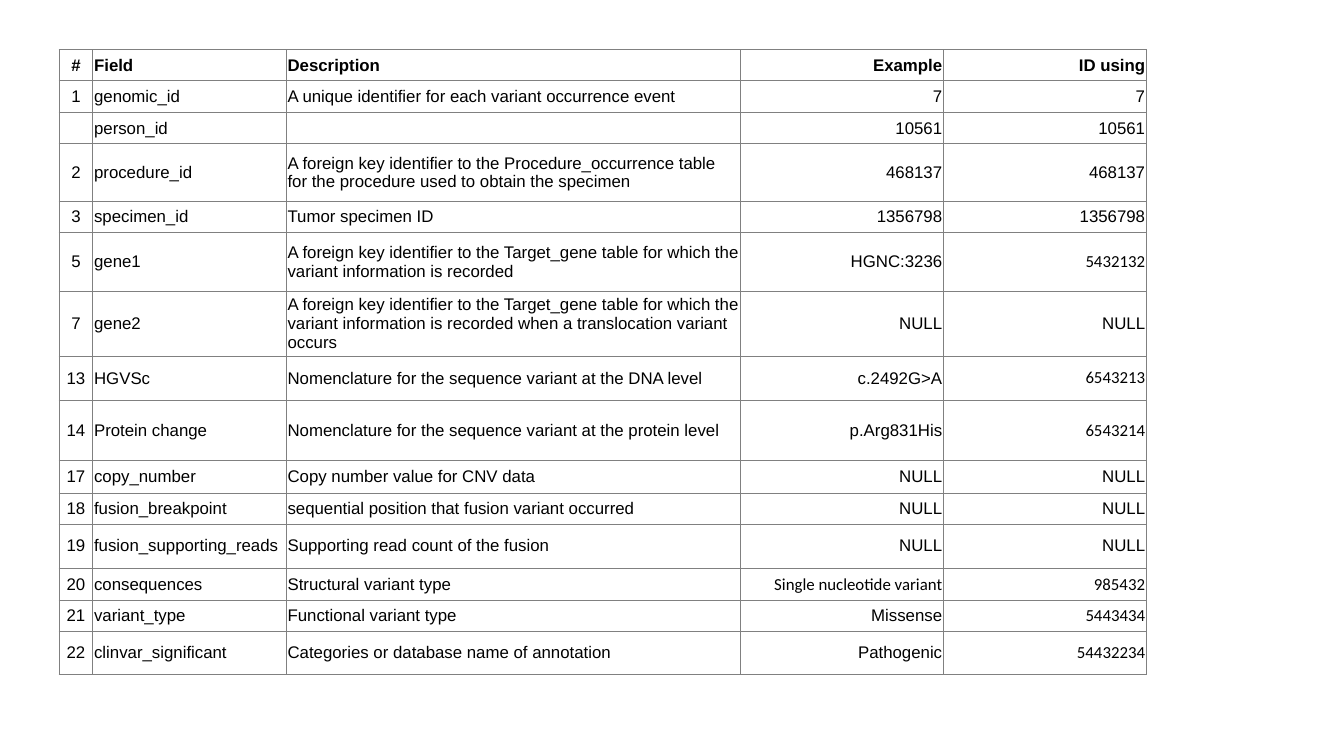
from dataclasses import dataclass

from lxml.etree import SubElement
from pptx import Presentation
from pptx.dml.color import RGBColor
from pptx.enum.text import MSO_ANCHOR as Anchor, PP_ALIGN as Align
from pptx.oxml.ns import qn
from pptx.util import Inches, Pt


@dataclass(frozen=True)
class Theme:
    text: str = "000000"
    fill: str = "FFFFFF"
    border: str = "808080"
    border_width: float = 0.5
    size: int = 9
    font: str = "Arial"
    code_font: str = "Calibri"
    inset: float = 0.01


THEME = Theme()

COLUMNS = [
    (0.25, Align.CENTER),
    (1.44, Align.LEFT),
    (3.38, Align.LEFT),
    (1.51, Align.RIGHT),
    (1.51, Align.RIGHT),
]

TARGET_GENE = "A foreign key identifier to the Target_gene table for which the variant information is recorded"
NOMENCLATURE = "Nomenclature for the sequence variant at the"

ROWS = [
    (0.23, "#", "Field", "Description", "Example", "ID using"),
    (0.24, "1", "genomic_id", "A unique identifier for each variant occurrence event", "7", "7"),
    (0.23, "", "person_id", "", "10561", "10561"),
    (0.43, "2", "procedure_id",
     "A foreign key identifier to the Procedure_occurrence table for the procedure used to obtain the specimen",
     "468137", "468137"),
    (0.23, "3", "specimen_id", "Tumor specimen ID", "1356798", "1356798"),
    (0.44, "5", "gene1", TARGET_GENE, "HGNC:3236", "5432132"),
    (0.48, "7", "gene2", f"{TARGET_GENE} when a translocation variant occurs", "NULL", "NULL"),
    (0.33, "13", "HGVSc", f"{NOMENCLATURE} DNA level", "c.2492G>A", "6543213"),
    (0.45, "14", "Protein change", f"{NOMENCLATURE} protein level", "p.Arg831His", "6543214"),
    (0.24, "17", "copy_number", "Copy number value for CNV data", "NULL", "NULL"),
    (0.23, "18", "fusion_breakpoint", "sequential position that fusion variant occurred", "NULL", "NULL"),
    (0.33, "19", "fusion_supporting_reads", "Supporting read count of the fusion", "NULL", "NULL"),
    (0.24, "20", "consequences", "Structural variant type", "Single nucleotide variant", "985432"),
    (0.23, "21", "variant_type", "Functional variant type", "Missense", "5443434"),
    (0.32, "22", "clinvar_significant", "Categories or database name of annotation", "Pathogenic", "54432234"),
]

CODED_VALUES = {
    "5432132", "6543213", "6543214", "Single nucleotide variant",
    "985432", "5443434", "54432234",
}


def write_text(frame, text, align=Align.LEFT, bold=False, font=THEME.font):
    paragraph = frame.paragraphs[0]
    paragraph.alignment = align
    if not text:
        SubElement(paragraph._p, qn("a:endParaRPr"), sz=str(THEME.size * 100))
        return
    run = paragraph.add_run()
    run.text = text
    run.font.name = font
    run.font.size = Pt(THEME.size)
    run.font.bold = bold
    run.font.color.rgb = RGBColor.from_string(THEME.text)


def add_borders(cell):
    properties = cell._tc.get_or_add_tcPr()
    for side in ("a:lnL", "a:lnR", "a:lnT", "a:lnB"):
        line = SubElement(properties, qn(side), w=str(Pt(THEME.border_width)))
        fill = SubElement(line, qn("a:solidFill"))
        SubElement(fill, qn("a:srgbClr"), val=THEME.border)


def format_cell(cell):
    inset = Inches(THEME.inset)
    cell.margin_left = cell.margin_right = inset
    cell.margin_top = cell.margin_bottom = inset
    cell.vertical_anchor = Anchor.MIDDLE
    add_borders(cell)
    cell.fill.solid()
    cell.fill.fore_color.rgb = RGBColor.from_string(THEME.fill)


def add_field_table(slide, left, top):
    width = sum(width for width, _ in COLUMNS)
    height = sum(row[0] for row in ROWS)
    table = slide.shapes.add_table(
        len(ROWS), len(COLUMNS), Inches(left), Inches(top), Inches(width), Inches(height)
    ).table
    table.horz_banding = False
    for column, (column_width, _) in zip(table.columns, COLUMNS):
        column.width = Inches(column_width)
    for row_index, (row_height, *values) in enumerate(ROWS):
        table.rows[row_index].height = Inches(row_height)
        for column_index, value in enumerate(values):
            cell = table.cell(row_index, column_index)
            format_cell(cell)
            write_text(
                cell.text_frame,
                value,
                align=COLUMNS[column_index][1],
                bold=row_index == 0,
                font=THEME.code_font if value in CODED_VALUES else THEME.font,
            )


def main():
    presentation = Presentation()
    presentation.slide_width = Inches(10)
    presentation.slide_height = presentation.slide_width * 9 // 16
    slide = presentation.slides.add_slide(presentation.slide_layouts[6])
    add_field_table(slide, left=0.44, top=0.37)
    presentation.save("out.pptx")


if __name__ == "__main__":
    main()
